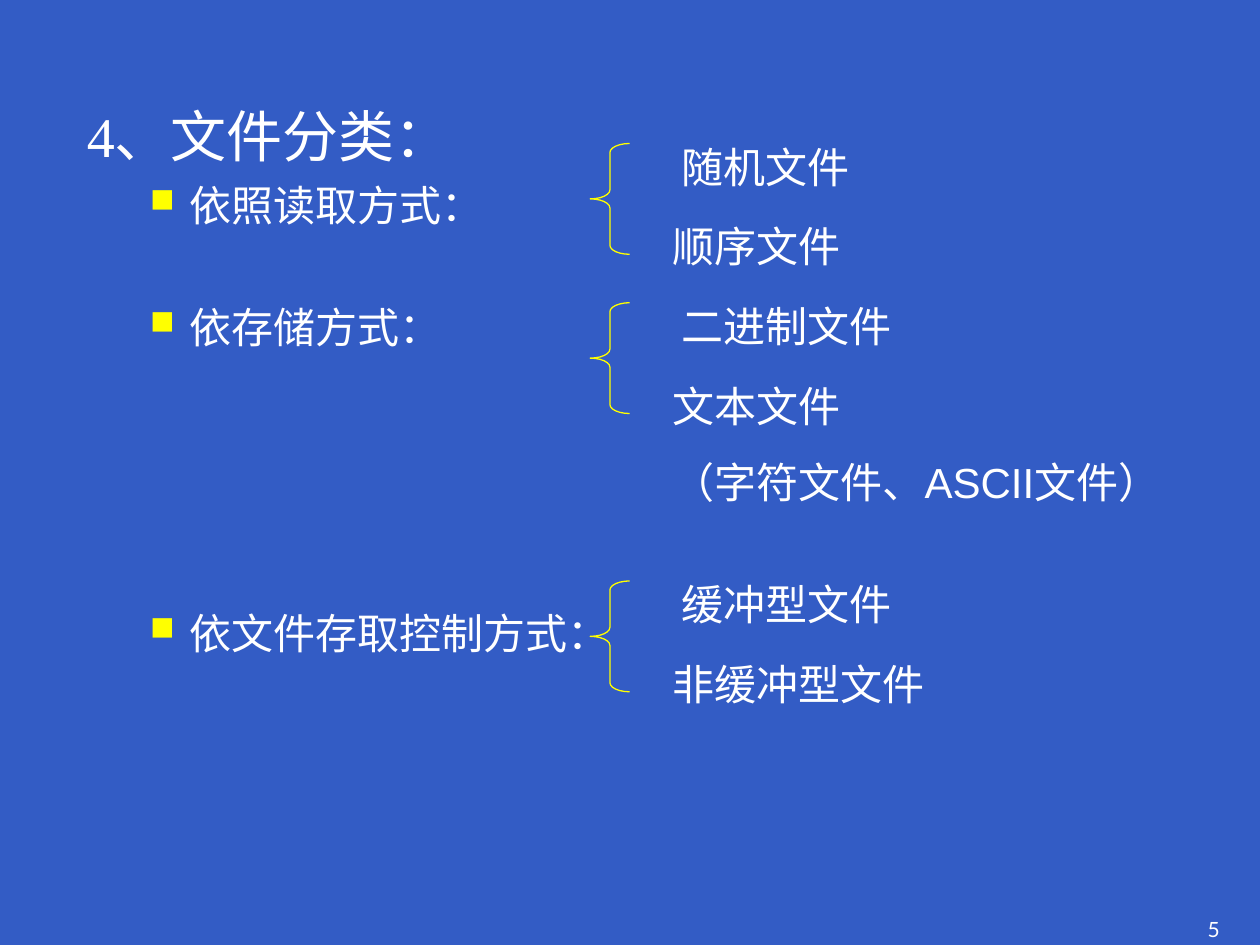
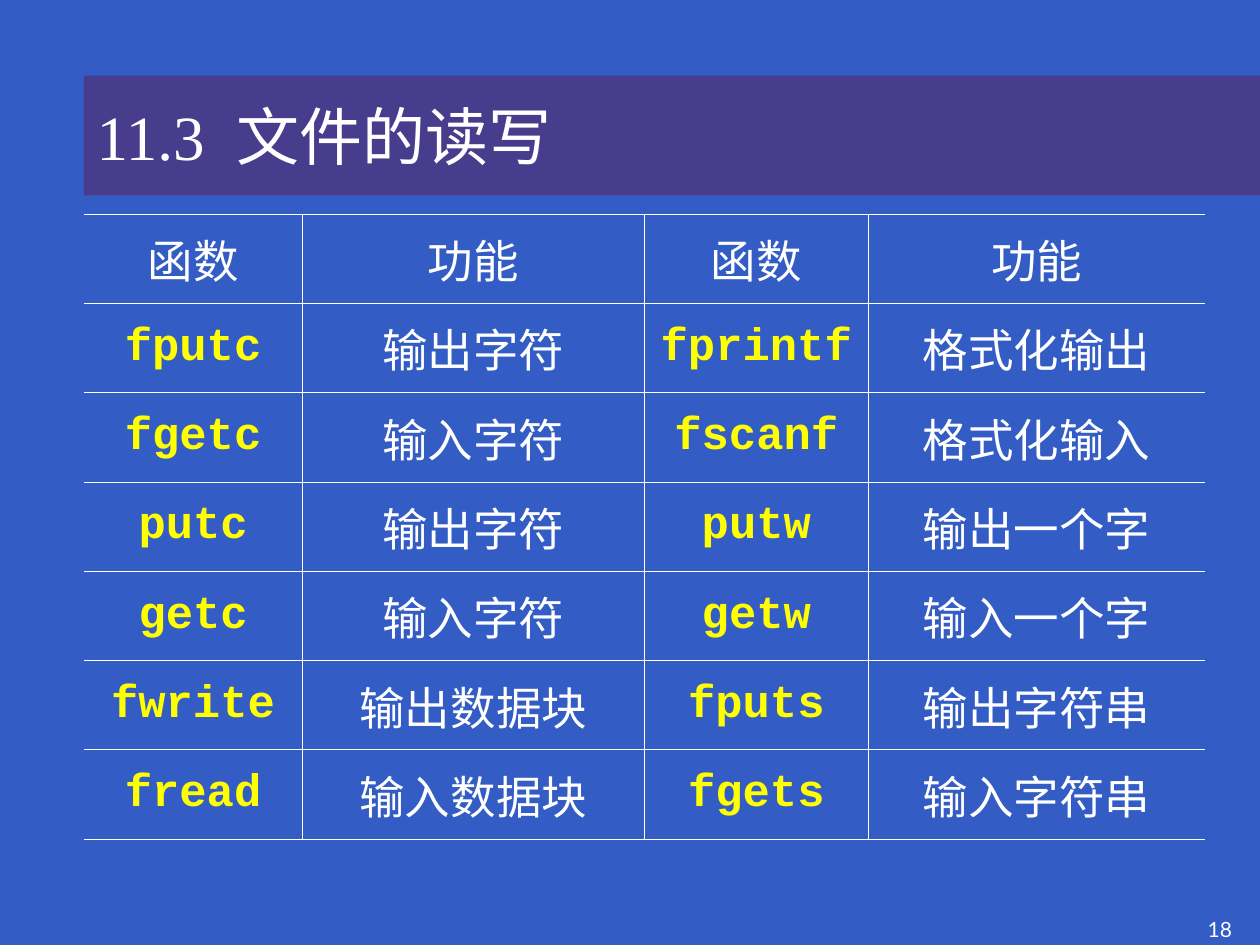
from lxml import etree
from pptx import Presentation
from pptx.dml.color import RGBColor
from pptx.enum import shapes, text
from pptx.oxml import ns
from pptx.util import Pt

BLUE = RGBColor(0x33, 0x5C, 0xC5)
PURPLE = RGBColor(0x47, 0x3D, 0x8C)
WHITE = RGBColor(0xFF, 0xFF, 0xFF)
YELLOW = RGBColor(0xFF, 0xFF, 0x00)
SERIF, SANS, MONO, NUMBER = "Times New Roman", "Arial", "Courier New", "Lato"
TITLE_ONLY, BLANK = 5, 6

FILE_KINDS = [
    (82, "随机文件", ["顺序文件"]),
    (173, "二进制文件", ["文本文件", "（字符文件、ASCII文件）"]),
    (332, "缓冲型文件", ["非缓冲型文件"]),
]
CRITERIA = [("依照读取方式：", 6), ("依存储方式：", 41), ("依文件存取控制方式：", 146)]
FUNCTIONS = [
    ("函数", "功能", "函数", "功能"),
    ("fputc", "输出字符", "fprintf", "格式化输出"),
    ("fgetc", "输入字符", "fscanf", "格式化输入"),
    ("putc", "输出字符", "putw", "输出一个字"),
    ("getc", "输入字符", "getw", "输入一个字"),
    ("fwrite", "输出数据块", "fputs", "输出字符串"),
    ("fread", "输入数据块", "fgets", "输入字符串"),
]


def sub(parent, tag, **attrs):
    return etree.SubElement(parent, ns.qn(tag), attrs)


class Deck:
    def __init__(self):
        self.prs = Presentation()
        self.prs.slide_width, self.prs.slide_height = Pt(720), Pt(540)
        fill = self.prs.slide_master.background.fill
        fill.solid()
        fill.fore_color.rgb = BLUE
        self.s = None

    def slide(self, layout, number):
        self.s = self.prs.slides.add_slide(self.prs.slide_layouts[layout])
        tf = self.box(683, 520, 37, 20)
        self.run(tf.paragraphs[0], number, 12, NUMBER)

    def run(self, p, words, size, font, color=WHITE, bold=False):
        r = p.add_run()
        r.text = words
        r.font.size, r.font.name, r.font.bold = Pt(size), font, bold
        r.font.color.rgb = color
        return r

    def box(self, x, y, w, h):
        tf = self.s.shapes.add_textbox(Pt(x), Pt(y), Pt(w), Pt(h)).text_frame
        tf.word_wrap = True
        return tf

    def lines(self, x, y, w, words):
        tf = self.box(x, y, w, 36 + 43.5 * (len(words) - 1))
        for i, line in enumerate(words):
            p = tf.add_paragraph() if i else tf.paragraphs[0]
            p.space_before = Pt(15)
            self.run(p, line, 24, SANS)

    def outline(self, heading, items):
        tf = self.box(42.5, 54.7, 607.5, 376.5)
        p = tf.paragraphs[0]
        p.space_before = Pt(8)
        self.run(p, heading, 32, SERIF)
        for words, gap in items:
            p = tf.add_paragraph()
            p.level = 1
            p.space_before = Pt(gap)
            self.bullet(p)
            self.run(p, words, 24, SERIF)

    def bullet(self, p):
        pPr = p._p.get_or_add_pPr()
        pPr.set("marL", str(Pt(58.5)))
        pPr.set("indent", str(Pt(-22.5)))
        sub(sub(pPr, "a:buClr"), "a:srgbClr", val=str(YELLOW))
        sub(pPr, "a:buSzPct", val="80000")
        sub(pPr, "a:buChar", char="■")

    def brace(self, x, y, w, h):
        sp = self.s.shapes.add_shape(
            shapes.MSO_SHAPE.LEFT_BRACE, Pt(x), Pt(y), Pt(w), Pt(h))
        sp.shadow.inherit = False
        sp.adjustments[0] = 0.23
        sp.fill.background()
        sp.line.color.rgb = YELLOW
        sp.line.width = Pt(0.75)

    def title(self, number, words):
        sp = self.s.shapes.title
        sp.left, sp.top, sp.width, sp.height = Pt(48), Pt(43.2), Pt(672), Pt(68.4)
        sp.fill.solid()
        sp.fill.fore_color.rgb = PURPLE
        tf = sp.text_frame
        tf.auto_size = text.MSO_AUTO_SIZE.NONE
        tf.vertical_anchor = text.MSO_ANCHOR.MIDDLE
        p = tf.paragraphs[0]
        p.alignment = text.PP_ALIGN.LEFT
        self.run(p, number, 36, SERIF)
        gap = self.run(p, " ", 36, SERIF)
        gap.font._element.set("spc", "900")
        self.run(p, words, 36, SERIF)

    def borders(self, cell, first, last):
        tcPr = cell._tc.get_or_add_tcPr()
        for side, shown in (("L", not first), ("R", not last), ("T", True), ("B", True)):
            ln = sub(tcPr, "a:ln" + side, w=str(Pt(0.45)))
            if shown:
                sub(sub(ln, "a:solidFill"), "a:srgbClr", val=str(WHITE))
            else:
                sub(ln, "a:noFill")

    def table(self, x, y, widths, row_height, rows):
        tbl = self.s.shapes.add_table(
            len(rows), len(widths), Pt(x), Pt(y),
            Pt(sum(widths)), Pt(row_height * len(rows))).table
        tbl.first_row = tbl.horz_banding = False
        for col, width in zip(tbl.columns, widths):
            col.width = Pt(width)
        for i, row in enumerate(rows):
            tbl.rows[i].height = Pt(row_height)
            for j, words in enumerate(row):
                cell = tbl.cell(i, j)
                self.borders(cell, j == 0, j == len(row) - 1)
                cell.fill.background()
                cell.vertical_anchor = text.MSO_ANCHOR.MIDDLE
                p = cell.text_frame.paragraphs[0]
                p.alignment = text.PP_ALIGN.CENTER
                p.space_before = Pt(6.5)
                if i and j % 2 == 0:
                    self.run(p, words, 26, MONO, YELLOW, True)
                else:
                    self.run(p, words, 26, SERIF)


def main():
    d = Deck()

    d.slide(BLANK, "5")
    d.outline("4、文件分类：", CRITERIA)
    for top, first, others in FILE_KINDS:
        d.brace(337.3, top, 22.5, 63.3)
        d.lines(382.5, top - 4.7, 164, [first])
        d.lines(377.3, top + 40.7, 306, others)

    d.slide(TITLE_ONLY, "18")
    d.title("11.3", "文件的读写")
    d.table(48, 122.3, [124.8, 195.5, 128, 192.3], 51.05, FUNCTIONS)

    d.prs.save("out.pptx")


if __name__ == "__main__":
    main()
